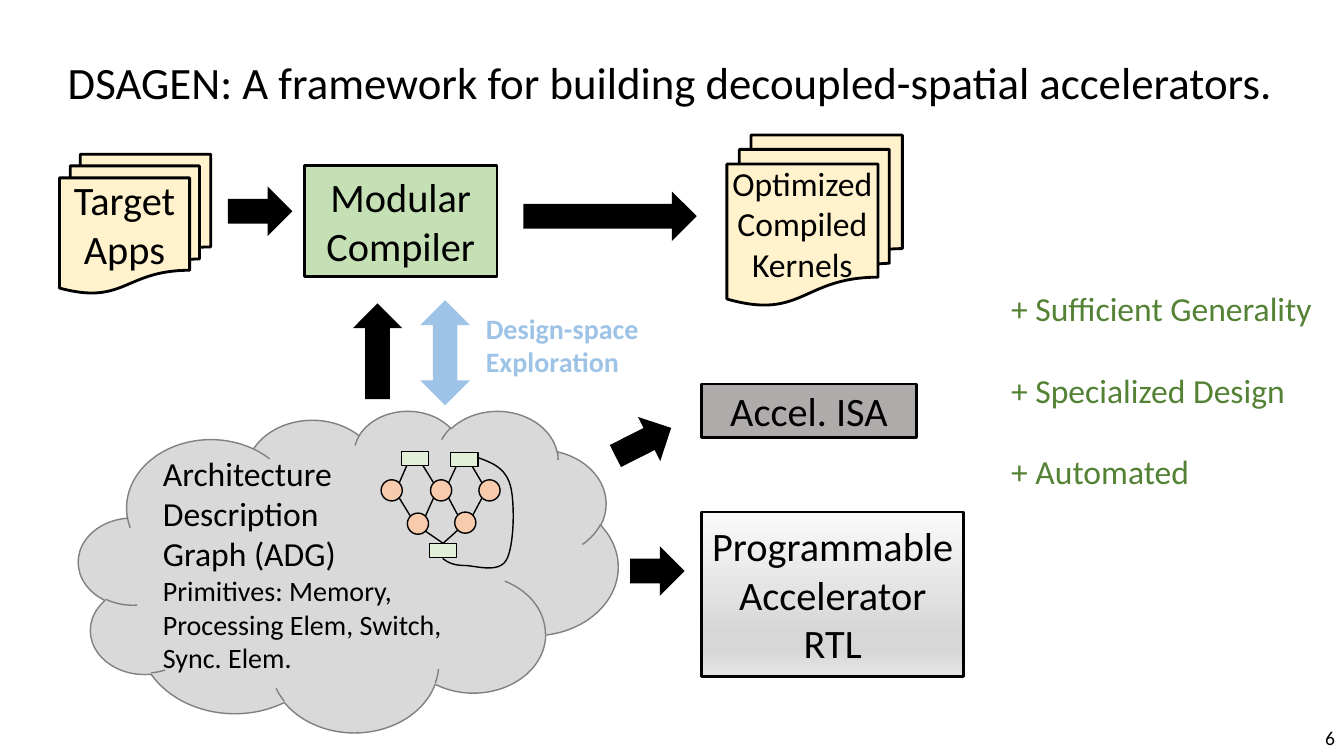
from lxml.etree import SubElement
from pptx import Presentation
from pptx.dml.color import RGBColor
from pptx.enum.shapes import MSO_CONNECTOR, MSO_SHAPE
from pptx.enum.text import MSO_ANCHOR, PP_ALIGN
from pptx.oxml.ns import qn
from pptx.util import Inches, Pt

COLS, ROWS = 13.33, 7.5
FONT = "Calibri"
BLACK, CREAM, GREEN, BLUE = "000000", "FFF2CC", "548235", "9DC3E6"
LEFT, CENTER, RIGHT = PP_ALIGN.LEFT, PP_ALIGN.CENTER, PP_ALIGN.RIGHT
DOCS, BOX, CLOUD = MSO_SHAPE.FLOWCHART_MULTIDOCUMENT, MSO_SHAPE.RECTANGLE, MSO_SHAPE.CLOUD
ARROW, TWO_WAY, CIRCLE = MSO_SHAPE.RIGHT_ARROW, MSO_SHAPE.UP_DOWN_ARROW, MSO_SHAPE.OVAL
SHADES = [(0, "FAFAFA"), (74, "D7D7D7"), (83, "D7D7D7"), (100, "E4E4E4")]

TEXTS = [
    ((12.64, 7.15, 0.7, 0.34), [("6", 14)], dict(align=RIGHT)),
    ((0.05, 0.25, 13.2, 0.88),
     [("DSAGEN: A framework for building decoupled-spatial accelerators.", 32)],
     dict(align=CENTER, anchor=MSO_ANCHOR.BOTTOM, spacing=0.9)),
    ((4.72, 3.04, 1.89, 0.77), [("Design-space", 20), ("Exploration", 20)],
     dict(color=BLUE, bold=True)),
    ((9.93, 2.81, 3.25, 2.52),
     [("+ Sufficient Generality", 24), ("+ Specialized Design", 24), ("+ Automated", 24)],
     dict(color=GREEN, gap=29.3)),
]
BLOCKS = [
    (CLOUD, (0.78, 4.07, 5.35, 3.19), "D9D9D9", ("808080", 1),
     [("Architecture", 24), ("Description", 24), ("Graph (ADG)", 24),
      ("Primitives: Memory,", 20), ("Processing Elem, Switch,", 20), ("Sync. Elem.", 20)],
     dict(align=LEFT, wrap=False)),
    (DOCS, (0.59, 1.53, 1.5, 1.38), CREAM, (BLACK, 2),
     [("Target", 28.8), ("Apps", 28.8)], dict(wrap=False, bottom=0.23)),
    (BOX, (3.02, 1.64, 1.91, 1.1), "C5E0B4", (BLACK, 2), [("Modular Compiler", 28.8)], {}),
    (DOCS, (7.21, 1.34, 1.74, 1.69), CREAM, (BLACK, 2),
     [("Optimized", 24), ("Compiled", 24), ("Kernels", 24)], dict(wrap=False, bottom=0.21)),
    (BOX, (6.96, 3.81, 2.13, 0.53), "AFABAB", (BLACK, 2), [("Accel. ISA", 28.8)], {}),
    (BOX, (6.96, 5.08, 2.6, 1.63), SHADES, (BLACK, 2),
     [("Programmable Accelerator", 28.8), ("RTL", 28.8)], {}),
]
ARROWS = [
    (ARROW, (2.26, 1.85, 0.64, 0.49), BLACK, 0),
    (ARROW, (5.19, 1.9, 1.72, 0.49), BLACK, 0),
    (ARROW, (3.27, 3.24, 0.95, 0.49), BLACK, 270),
    (ARROW, (6.25, 5.42, 0.54, 0.49), BLACK, 0),
    (ARROW, (6.07, 4.14, 0.62, 0.49), BLACK, 333.2),
    (TWO_WAY, (4.17, 2.98, 0.49, 1.04), BLUE, 0),
]
PORT_W, PORT_H, NODE = 0.27, 0.14, 0.21
PORTS = {"in1": (3.98, 4.48), "in2": (4.47, 4.49), "out": (4.26, 5.39)}
NODES = {"a": (3.78, 4.76), "b": (4.27, 4.76), "c": (4.75, 4.76),
         "d": (4.04, 5.09), "e": (4.51, 5.08)}
PORT_EDGES = [("in1", 0.2, "a", 1), ("in1", 0.8, "b", -1),
              ("in2", 0.2, "b", 1), ("in2", 0.8, "c", -1)]
NODE_EDGES = [("a", "d", 1), ("b", "d", -1), ("b", "e", 1), ("c", "e", -1)]
OUT_EDGES = [("d", 1), ("e", -1)]
LOOP = [(4.39, 5.54), (4.44, 5.58), (4.5, 5.61), (4.61, 5.61), (4.71, 5.61), (4.94, 5.69),
        (5.02, 5.56), (5.1, 5.43), (5.11, 4.98), (5.06, 4.81), (5.01, 4.64), (4.88, 4.59),
        (4.74, 4.54)]


def rgb(h):
    return RGBColor.from_string(h)


def put(obj, values):
    for name, value in values.items():
        setattr(obj, name, value)


def grid(place):
    return [Inches(v) for v in place]


def write(sp, lines, align=CENTER, anchor=MSO_ANCHOR.MIDDLE, wrap=True, bottom=0.05,
          color=BLACK, bold=False, spacing=None, gap=0):
    tf = sp.text_frame
    put(tf, dict(word_wrap=wrap, vertical_anchor=anchor, margin_bottom=Inches(bottom)))
    for i, (text, size) in enumerate(lines):
        p = tf.add_paragraph() if i else tf.paragraphs[0]
        put(p, dict(alignment=align, line_spacing=spacing, space_before=Pt(gap if i else 0)))
        r = p.add_run()
        r.text = text
        put(r.font, dict(name=FONT, size=Pt(size), bold=bold))
        r.font.color.rgb = rgb(color)


def shade(sp, stops):
    sp.fill.gradient()
    sp.fill.gradient_angle = 270
    gs_list = next(sp._element.iter(qn("a:gsLst")))
    gs_list[:] = []
    for pos, color in stops:
        gs = SubElement(gs_list, qn("a:gs"), pos=str(pos * 1000))
        SubElement(gs, qn("a:srgbClr"), val=color)


def outline(sp, line):
    if line is None:
        sp.line.fill.background()
    else:
        sp.line.color.rgb, sp.line.width = rgb(line[0]), Pt(line[1])


def block(shapes, kind, place, fill, line=None):
    sp = shapes.add_shape(kind, *grid(place))
    sp.shadow.inherit = False
    if isinstance(fill, str):
        sp.fill.solid()
        sp.fill.fore_color.rgb = rgb(fill)
    else:
        shade(sp, fill)
    outline(sp, line)
    return sp


def edge(shapes, start, end):
    c = shapes.add_connector(MSO_CONNECTOR.STRAIGHT, *grid(start + end))
    outline(c, (BLACK, 1))
    SubElement(c._element.spPr, qn("a:effectLst"))
    return c


def rim(node, dx, dy):
    x, y = NODES[node]
    return tuple(v + NODE / 2 * (1 + 0.71 * d) for v, d in ((x, dx), (y, dy)))


def bezier(pts, t):
    weights = ((1 - t) ** 3, 3 * t * (1 - t) ** 2, 3 * t * t * (1 - t), t ** 3)
    return tuple(Inches(sum(w * p[k] for w, p in zip(weights, pts))) for k in (0, 1))


def draw_graph(shapes):
    ports = {n: block(shapes, BOX, at + (PORT_W, PORT_H), "E2F0D9", (BLACK, 1))
             for n, at in PORTS.items()}
    for at in NODES.values():
        block(shapes, CIRCLE, at + (NODE, NODE), "F8CBAD", (BLACK, 1))
    for port, share, node, dx in PORT_EDGES:
        x, y = PORTS[port]
        edge(shapes, (x + share * PORT_W, y + PORT_H), rim(node, dx, -1))
    for top, low, dx in NODE_EDGES:
        edge(shapes, rim(top, dx, 1), rim(low, -dx, -1))
    x, y = PORTS["out"]
    for node, dx in OUT_EDGES:
        edge(shapes, rim(node, dx, 1), (x + PORT_W / 2, y)).end_connect(ports["out"], 0)
    curve = [bezier(LOOP[i:i + 4], k / 12) for i in range(0, len(LOOP) - 1, 3)
             for k in range(1, 13)]
    fb = shapes.build_freeform(*grid(LOOP[0]))
    fb.add_line_segments(curve, close=False)
    sp = fb.convert_to_shape()
    sp.shadow.inherit = False
    sp.fill.background()
    outline(sp, (BLACK, 1))


def main():
    """Build the framework overview slide and save it."""
    prs = Presentation()
    put(prs, dict(slide_width=Inches(COLS), slide_height=Inches(ROWS)))
    s = prs.slides.add_slide(prs.slide_layouts[6])
    for kind, place, fill, line, lines, style in BLOCKS:
        write(block(s.shapes, kind, place, fill, line), lines, **style)
    draw_graph(s.shapes.add_group_shape().shapes)
    for kind, place, fill, turn in ARROWS:
        block(s.shapes, kind, place, fill).rotation = turn
    for place, lines, style in TEXTS:
        write(s.shapes.add_textbox(*grid(place)), lines,
              **{"align": LEFT, "anchor": MSO_ANCHOR.TOP, **style})
    prs.save("out.pptx")


if __name__ == "__main__":
    main()
